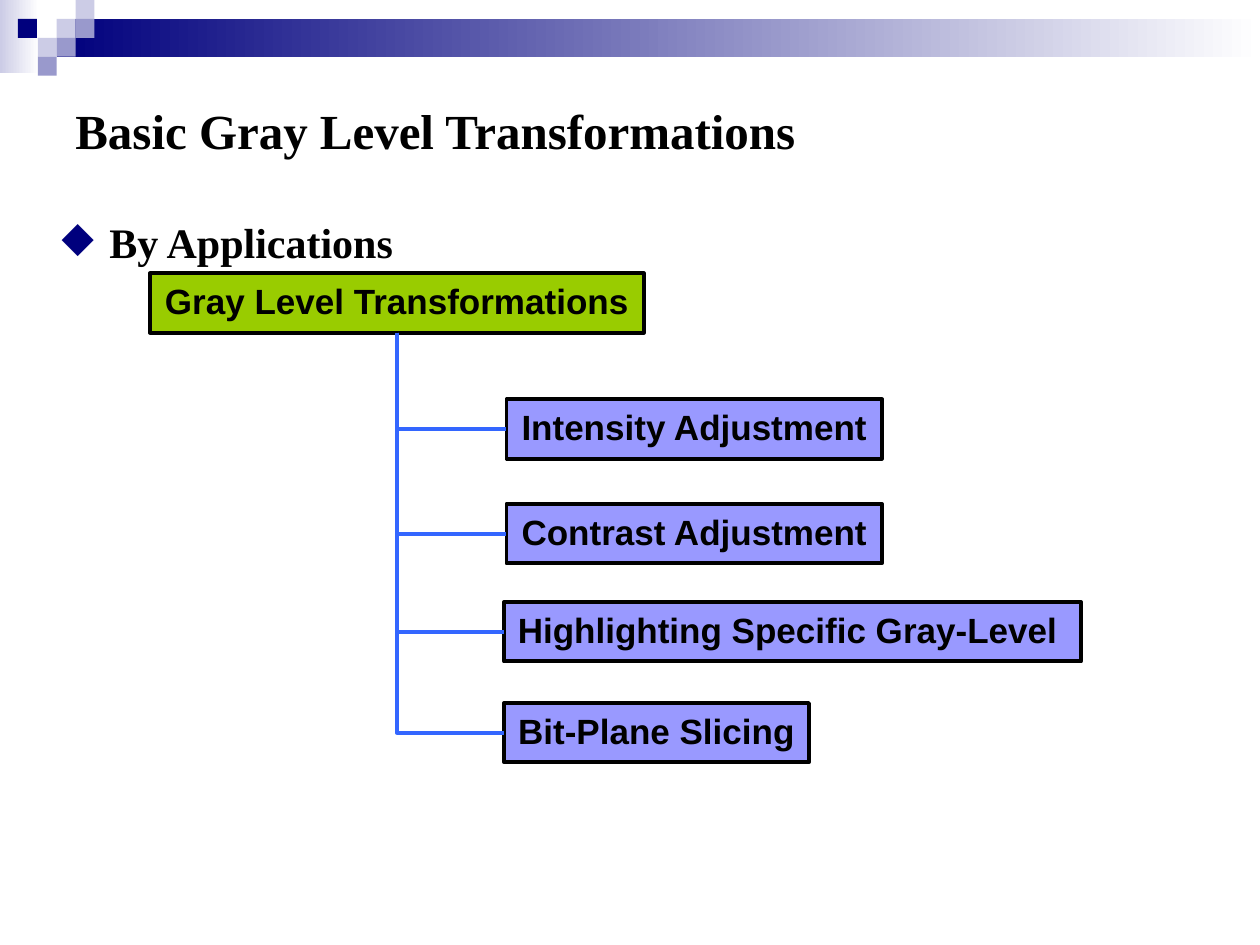
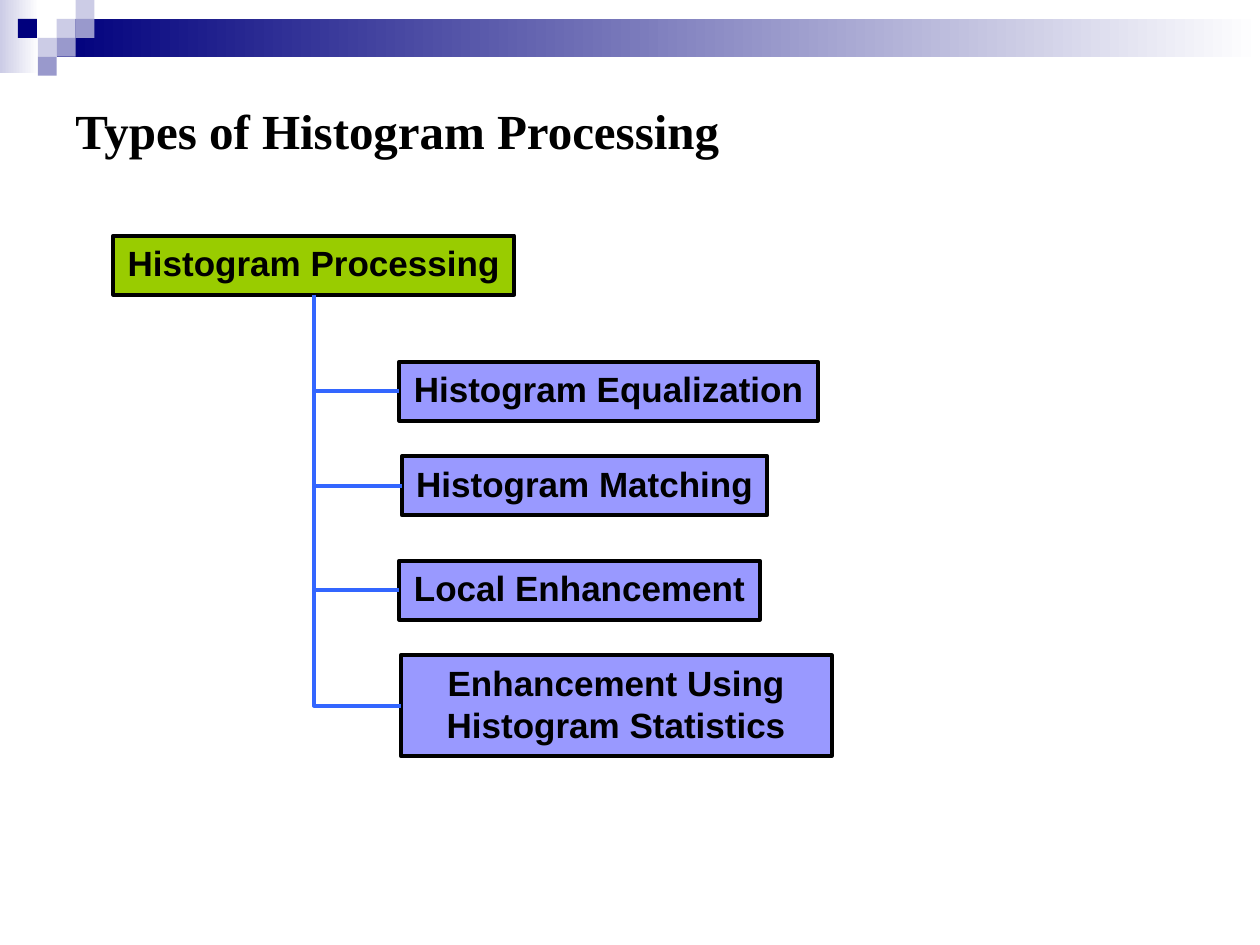
"""Builds two slides of box trees on image enhancement topics."""
from dataclasses import dataclass

from lxml import etree
from pptx import Presentation
from pptx import util as u
from pptx.dml import color
from pptx.enum import shapes, text
from pptx.oxml import ns


@dataclass(frozen=True)
class Theme:
    navy: str = "00007D"
    violet: str = "9999CC"
    pale: str = "CCCCE6"
    white: str = "FFFFFF"
    black: str = "000000"
    root: str = "99CC00"
    branch: str = "9999FF"
    link: str = "3366FF"
    serif: str = "Times New Roman"
    sans: str = "Arial"
    title_size: int = 28
    body_size: int = 24
    box_size: int = 20
    line_width: float = 2.25
    box_height: float = 0.47


def rgb(value):
    return color.RGBColor.from_string(value)


def inches(*values):
    return [u.Inches(value) for value in values]


class Deck:
    def __init__(self, theme):
        self.theme = theme
        self.presentation = Presentation()
        self.presentation.slide_width, self.presentation.slide_height = inches(10, 7.5)
        self.slide = None

    def add_slide(self, title):
        self.slide = self.presentation.slides.add_slide(self.presentation.slide_layouts[6])
        self.header()
        self.textbox(title, (0.5, 0.5, 9.11, 1.06), self.theme.title_size,
                     text.MSO_ANCHOR.MIDDLE)

    def header(self):
        theme = self.theme
        self.gradient((0, 0, 0.31, 0.58), theme.pale)
        self.gradient((0.45, 0.15, 9.55, 0.3), theme.navy)
        side = 0.15
        tiles = [(3, 1, theme.pale), (4, 0, theme.pale), (4, 1, theme.violet),
                 (2, 2, theme.pale), (0.95, 1, theme.navy), (3, 2, theme.violet),
                 (2, 3, theme.violet)]
        for column, row, fill in tiles:
            self.rectangle((column * side, row * side, side, side), fill)

    def rectangle(self, at, fill=None):
        shape = self.slide.shapes.add_shape(shapes.MSO_SHAPE.RECTANGLE, *inches(*at))
        shape.shadow.inherit = False
        shape.line.fill.background()
        if fill:
            shape.fill.solid()
            shape.fill.fore_color.rgb = rgb(fill)
        return shape

    def gradient(self, at, start):
        fill = self.rectangle(at).fill
        fill.gradient()
        fill.gradient_angle = 0
        for stop, value in zip(fill.gradient_stops, (start, self.theme.white)):
            stop.color.rgb = rgb(value)

    def label(self, paragraph, content, size, name):
        paragraph.text = content
        style = {"size": u.Pt(size), "name": name, "bold": True}
        for attribute, value in style.items():
            setattr(paragraph.font, attribute, value)
        paragraph.font.color.rgb = rgb(self.theme.black)

    def textbox(self, content, at, size, anchor=text.MSO_ANCHOR.TOP, bullet=None):
        frame = self.slide.shapes.add_textbox(*inches(*at)).text_frame
        frame.word_wrap = True
        frame.vertical_anchor = anchor
        paragraph = frame.paragraphs[0]
        if bullet:
            self.bullet(paragraph, bullet)
        self.label(paragraph, content, size, self.theme.serif)

    def bullet(self, paragraph, symbol):
        properties = paragraph._p.get_or_add_pPr()
        indent = u.Inches(0.38)
        properties.set("marL", str(indent))
        properties.set("indent", str(-indent))
        tint = etree.SubElement(properties, ns.qn("a:buClr"))
        etree.SubElement(tint, ns.qn("a:srgbClr"), val=self.theme.navy)
        etree.SubElement(properties, ns.qn("a:buChar"), char=symbol)

    def box(self, content, at, fill):
        shape = self.rectangle(at, fill)
        shape.line.color.rgb = rgb(self.theme.black)
        shape.line.width = u.Pt(self.theme.line_width)
        frame = shape.text_frame
        layout = {"word_wrap": at[3] > self.theme.box_height,
                  "auto_size": text.MSO_AUTO_SIZE.SHAPE_TO_FIT_TEXT,
                  "vertical_anchor": text.MSO_ANCHOR.TOP}
        for attribute, value in layout.items():
            setattr(frame, attribute, value)
        paragraph = frame.paragraphs[0]
        paragraph.alignment = text.PP_ALIGN.CENTER
        self.label(paragraph, content, self.theme.box_size, self.theme.sans)

    def elbow(self, start, end):
        (left, top), (right, bottom) = start, end
        middle_x, middle_y = (left + right) / 2, (top + bottom) / 2
        half_width, half_height = (right - left) / 2, (bottom - top) / 2
        connector = self.slide.shapes.add_connector(
            shapes.MSO_CONNECTOR.ELBOW,
            *inches(middle_x - half_height, middle_y - half_width,
                    middle_x + half_height, middle_y + half_width))
        properties = connector._element.spPr
        properties.find(ns.qn("a:prstGeom")).set("prst", "bentConnector2")
        frame = properties.find(ns.qn("a:xfrm"))
        frame.set("rot", str(270 * 60000))
        frame.set("flipH", "1")
        connector.line.color.rgb = rgb(self.theme.link)
        connector.line.width = u.Pt(self.theme.line_width)
        etree.SubElement(properties, ns.qn("a:effectLst"))

    def tree(self, root, branches):
        content, left, top, width = root
        height = self.theme.box_height
        self.box(content, (left, top, width, height), self.theme.root)
        start = (left + width / 2, top + height)
        for content, left, top, width, *tall in branches:
            branch_height = tall[0] if tall else height
            self.box(content, (left, top, width, branch_height), self.theme.branch)
            self.elbow(start, (left, top + branch_height / 2))


def main():
    theme = Theme()
    deck = Deck(theme)

    deck.add_slide("Basic Gray Level Transformations")
    deck.textbox("By Applications", (0.39, 1.67, 3.25, 0.69), theme.body_size, bullet="◆")
    deck.tree(("Gray Level Transformations", 1.19, 2.17, 3.92), [
        ("Intensity Adjustment", 4.02, 3.17, 2.98),
        ("Contrast Adjustment", 4.02, 4, 2.98),
        ("Highlighting Specific Gray-Level ", 4, 4.78, 4.58),
        ("Bit-Plane Slicing", 4, 5.58, 2.42)])

    deck.add_slide("Types of Histogram Processing")
    deck.tree(("Histogram Processing", 0.9, 1.87, 3.18), [
        ("Histogram Equalization", 3.17, 2.87, 3.32),
        ("Histogram Matching", 3.19, 3.62, 2.9),
        ("Local Enhancement", 3.17, 4.45, 2.86),
        ("Enhancement Using Histogram Statistics", 3.18, 5.2, 3.42, 0.8)])

    deck.presentation.save("out.pptx")


if __name__ == "__main__":
    main()
